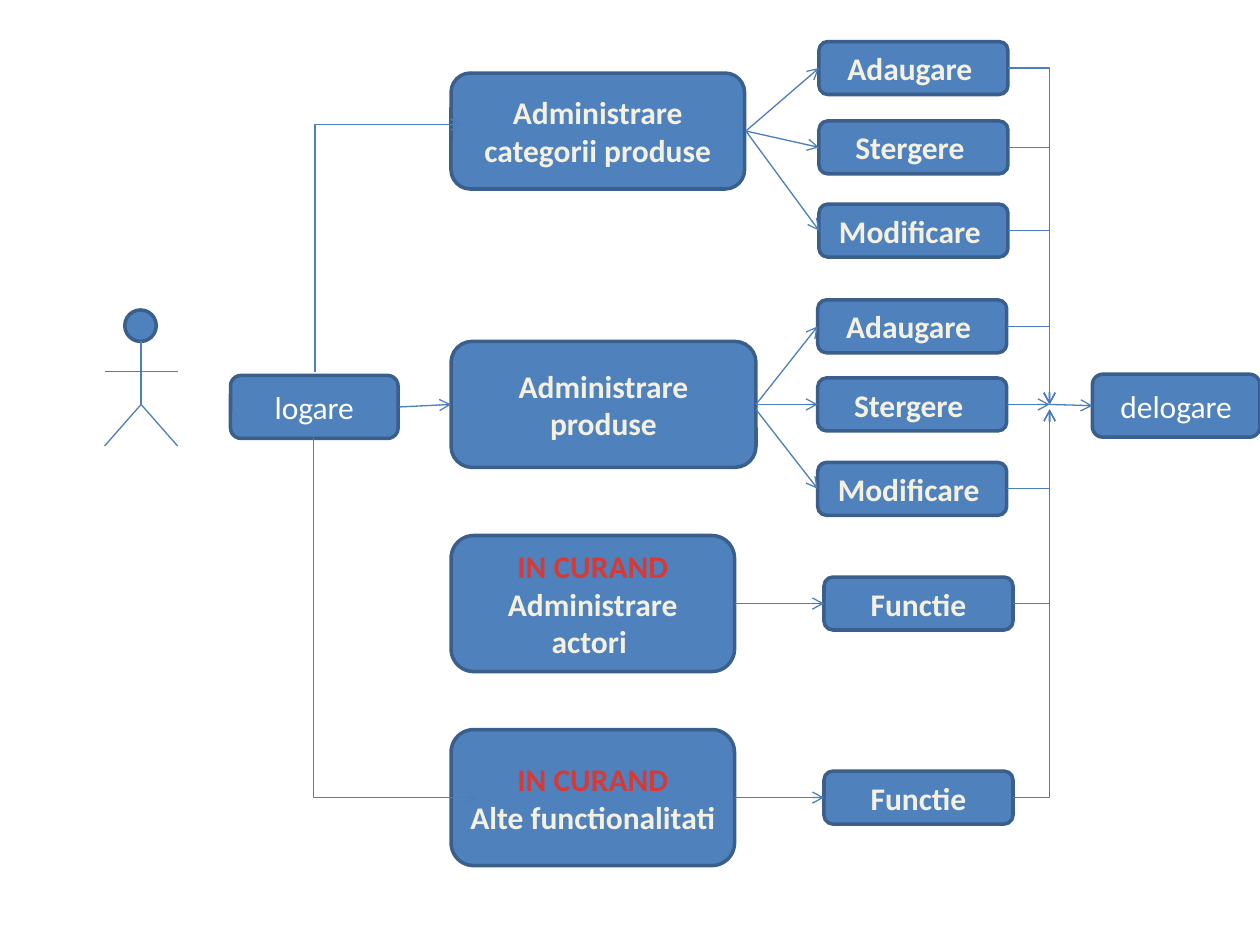
from lxml.etree import SubElement
from pptx import Presentation
from pptx.dml.color import RGBColor
from pptx.enum.shapes import MSO_CONNECTOR as CONNECTOR, MSO_SHAPE as SHAPE
from pptx.enum.text import MSO_ANCHOR as ANCHOR, PP_ALIGN as ALIGN
from pptx.oxml import parse_xml
from pptx.oxml.ns import nsdecls, qn
from pptx.util import Inches, Pt

BLUE = RGBColor(0x4F, 0x81, 0xBD)
BORDER = RGBColor(0x3A, 0x5F, 0x8C)
ARROW = RGBColor(0x4B, 0x7E, 0xBC)
WHITE = RGBColor(0xFF, 0xFF, 0xFF)
CREAM = RGBColor(0xF4, 0xF1, 0xE3)
NAVY = RGBColor(0x05, 0x46, 0x97)
RED = RGBColor(0xD7, 0x3A, 0x36)
WARNING = "IN CURAND"


def write_text(paragraph, text, color=CREAM, bold=True, outline=NAVY, outline_width=1):
    """Add one centred, formatted run to a paragraph."""
    paragraph.alignment = ALIGN.CENTER
    run = paragraph.add_run()
    run.text = text
    font = run.font
    font.name, font.size, font.bold = "Calibri", Pt(18), bold
    font.color.rgb = color
    if outline is not None:
        run._r.get_or_add_rPr().insert(0, parse_xml(
            f'<a:ln {nsdecls("a")} w="{Pt(outline_width)}"><a:solidFill>'
            f'<a:srgbClr val="{outline}"/></a:solidFill></a:ln>'))


class Diagram:
    """Draws flow chart elements on one slide in a shared style."""

    def __init__(self, slide):
        self.slide = slide

    def shape(self, kind, left, top, width, height):
        """Add a filled and bordered preset shape."""
        shape = self.slide.shapes.add_shape(
            kind, Inches(left), Inches(top), Inches(width), Inches(height))
        shape.shadow.inherit = False
        shape.fill.solid()
        shape.fill.fore_color.rgb = BLUE
        shape.line.color.rgb = BORDER
        shape.line.width = Pt(2)
        return shape

    def box(self, lines, left, top, width, height, **style):
        """Add a rounded box with one paragraph for each line."""
        frame = self.shape(SHAPE.ROUNDED_RECTANGLE, left, top, width, height).text_frame
        frame.word_wrap = True
        frame.vertical_anchor = ANCHOR.MIDDLE
        for index, text in enumerate(lines):
            paragraph = frame.add_paragraph() if index else frame.paragraphs[0]
            if text == WARNING:
                write_text(paragraph, text, color=RED, outline=RED, outline_width=1.42)
            else:
                write_text(paragraph, text, **style)

    def line(self, start, end, kind=CONNECTOR.STRAIGHT, head=True):
        """Add a connector, with an arrowhead at its end by default."""
        connector = self.slide.shapes.add_connector(
            kind, *(Inches(value) for value in (*start, *end)))
        connector.line.color.rgb = ARROW
        connector.line.width = Pt(0.75)
        properties = connector._element.spPr
        if head:
            SubElement(properties.find(qn("a:ln")), qn("a:tailEnd"), type="arrow")
        SubElement(properties, qn("a:effectLst"))
        return connector

    def corner(self, start, end):
        """Add an arrow with one bend that leaves sideways."""
        connector = self.line(start, end, CONNECTOR.ELBOW)
        connector._element.spPr.find(qn("a:prstGeom")).set("prst", "bentConnector2")
        return connector

    def upright_corner(self, start, end):
        """Add an arrow with one bend that leaves up or down and turns right."""
        (x1, y1), (x2, y2) = start, end
        middle_x, middle_y = (x1 + x2) / 2, (y1 + y2) / 2
        half_width = abs(y2 - y1) / 2
        down = y2 > y1
        half_height = (x2 - x1) / 2 if down else (x1 - x2) / 2
        connector = self.corner((middle_x + half_width, middle_y - half_height),
                                (middle_x - half_width, middle_y + half_height))
        degrees = 270 if down else 90
        connector._element.spPr.find(qn("a:xfrm")).set("rot", str(degrees * 60000))


presentation = Presentation()
presentation.slide_width, presentation.slide_height = Inches(10), Inches(7.5)
diagram = Diagram(presentation.slides.add_slide(presentation.slide_layouts[6]))

for label, left, top in (("logare", 1.83, 2.98), ("delogare", 8.67, 2.97)):
    diagram.box([label], left, top, 1.33, 0.5, color=WHITE, bold=False, outline=None)

for lines, top, width, height in (
        (["Administrare categorii produse"], 0.58, 2.33, 0.92),
        (["Administrare produse"], 2.71, 2.42, 1),
        ([WARNING, "Administrare actori "], 4.25, 2.25, 1.08),
        ([WARNING, "Alte functionalitati "], 5.79, 2.25, 1.08)):
    diagram.box(lines, 3.58, top, width, height)

ACTION_WIDTH, ACTION_HEIGHT = 1.5, 0.42
JOIN_X, JOIN_Y = 8.33, 3.21
actions = [
    ("Adaugare ", 6.5, 0.33, (5.92, 1.04)),
    ("Stergere ", 6.5, 0.96, (5.92, 1.04)),
    ("Modificare ", 6.5, 1.62, (5.92, 1.04)),
    ("Adaugare ", 6.49, 2.38, (6, 3.21)),
    ("Stergere ", 6.49, 3, (6, 3.21)),
    ("Modificare ", 6.49, 3.67, (6, 3.25)),
    ("Functie", 6.54, 4.58, (5.83, 4.79)),
    ("Functie", 6.54, 6.12, (5.83, 6.33)),
]
for label, left, top, source in actions:
    diagram.box([label], left, top, ACTION_WIDTH, ACTION_HEIGHT)
for label, left, top, source in actions:
    middle = round(top + ACTION_HEIGHT / 2, 2)
    right = left + ACTION_WIDTH
    diagram.line(source, (left, middle))
    if middle == JOIN_Y:
        diagram.line((right, middle), (JOIN_X, JOIN_Y))
    else:
        diagram.corner((right, middle), (JOIN_X, JOIN_Y if middle < JOIN_Y else 3.25))

diagram.line((3.17, 3.23), (3.58, 3.21))
diagram.line((JOIN_X, JOIN_Y), (8.67, 3.22))
diagram.upright_corner((2.49, 3.48), (3.79, 6.33))
diagram.upright_corner((2.5, 2.95), (3.67, 0.99))

diagram.shape(SHAPE.OVAL, 0.99, 2.46, 0.25, 0.25)
neck, hip = (1.12, 2.71), (1.12, 3.21)
for start, end in ((neck, hip), (hip, (0.83, 3.54)), (hip, (1.41, 3.54)),
                   ((0.83, 2.95), (1.41, 2.95))):
    diagram.line(start, end, head=False)

presentation.save("out.pptx")
